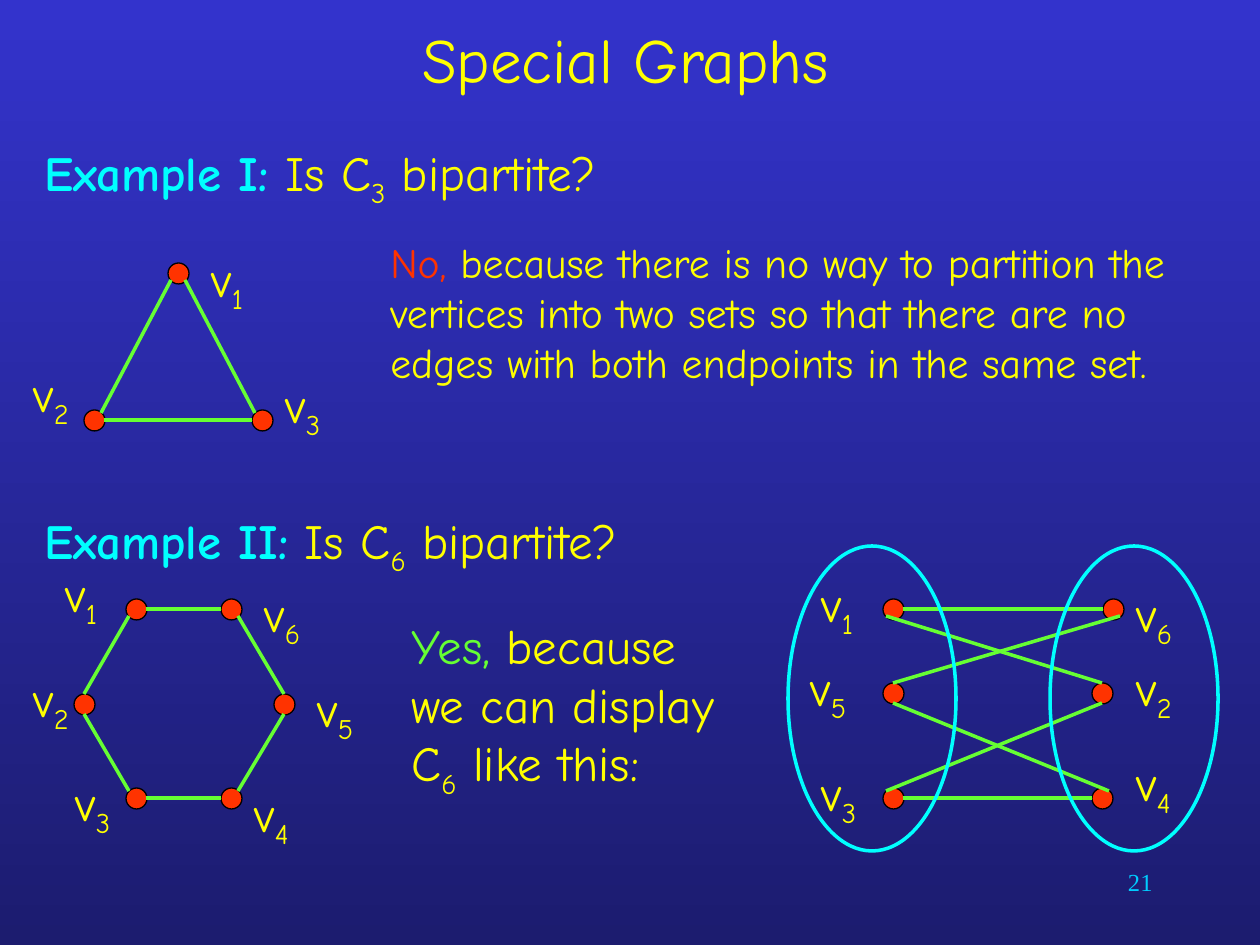
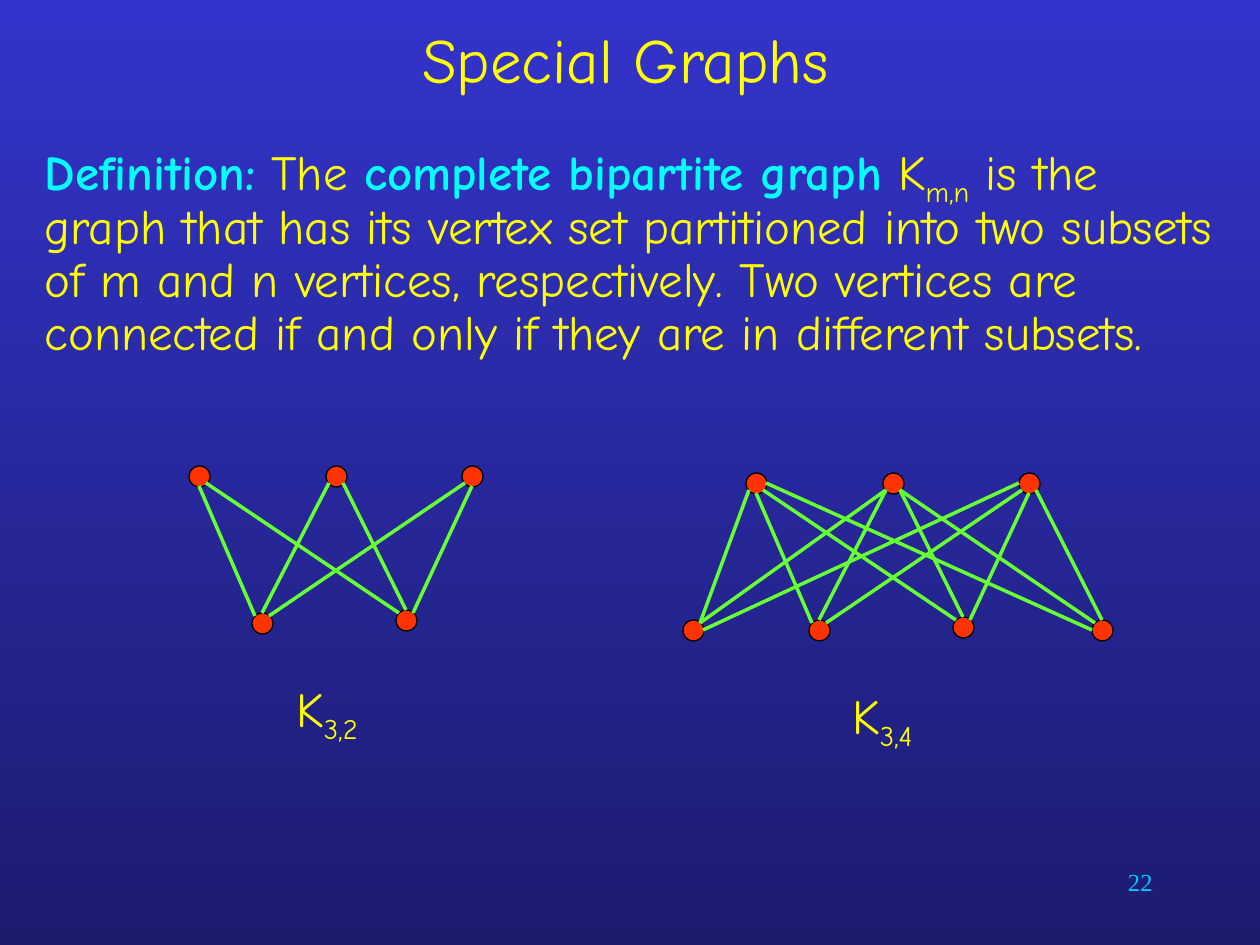
from lxml import etree
from pptx import Presentation
from pptx.dml.color import RGBColor
from pptx.enum.shapes import MSO_CONNECTOR, MSO_SHAPE
from pptx.enum.text import MSO_ANCHOR, MSO_AUTO_SIZE, PP_ALIGN
from pptx.oxml.ns import qn
from pptx.util import Pt

PX = 914400 / 126
HEX = {"top": "3333CC", "base": "1C1C6F", "text": "FFFF00", "term": "00FFFF",
       "page": "00CCFF", "dot": "FF3300", "edge": "66FF33", "rim": "000000"}
RGB = {name: RGBColor.from_string(code) for name, code in HEX.items()}
FONT = "Comic Neue"
STRAIGHT = MSO_CONNECTOR.STRAIGHT
DOT, OVAL = MSO_SHAPE.FLOWCHART_CONNECTOR, MSO_SHAPE.OVAL
CENTER, RIGHT = PP_ALIGN.CENTER, PP_ALIGN.RIGHT
RAD = 10
# Offsets from a vertex centre to the points where edges meet its rim
SIDES = {"n": (0, -10), "ne": (7, -7), "e": (10, 0), "se": (7, 7),
         "s": (0, 10), "sw": (-7, 7), "w": (-10, 0), "nw": (-7, -7)}


def write(shape, box, runs, size=28, font=FONT):
    """Place a shape and fill it with (text, colour, style) runs; return the paragraph."""
    shape.left, shape.top, shape.width, shape.height = (round(v * PX) for v in box)
    frame = shape.text_frame
    frame.word_wrap = True
    frame.auto_size = MSO_AUTO_SIZE.NONE
    para = frame.paragraphs[0]
    props = para._p.get_or_add_pPr()
    props.set("marL", "0")
    props.set("indent", "0")
    para.space_before = Pt(0)
    etree.SubElement(props, qn("a:buNone"))
    para.font.size = Pt(size)
    para.font.name = font
    for text, color, style in runs:
        run = para.add_run()
        run.text = text
        run.font.color.rgb = RGB[color]
        if style == "bold":
            run.font.bold = True
        elif style == "sub":
            run._r.get_or_add_rPr().set("baseline", "-25000")
    return para


def draw(slide, dots, edges, labels=(), dx=0, dy=0):
    """Draw a graph; an edge such as "1sw 2ne" names two vertices and their sides."""
    for x, y in dots.values():
        box = (x + dx - RAD, y + dy - RAD, 2 * RAD + 1, 2 * RAD + 1)
        dot = slide.shapes.add_shape(DOT, *(round(v * PX) for v in box))
        dot.shadow.inherit = False
        dot.fill.solid()
        dot.fill.fore_color.rgb = RGB["dot"]
        dot.line.color.rgb = RGB["rim"]
        dot.line.width = Pt(0.75)
    for edge in edges:
        ends = []
        for end in edge.split():
            (x, y), (sx, sy) = dots[end[0]], SIDES[end[1:]]
            ends += [round((x + dx + sx) * PX), round((y + dy + sy) * PX)]
        line = slide.shapes.add_connector(STRAIGHT, *ends)
        line.line.color.rgb = RGB["edge"]
        line.line.width = Pt(2)
        etree.SubElement(line._element.spPr, qn("a:effectLst"))
    for name, x, y in labels:
        write(slide.shapes.add_textbox(0, 0, 0, 0), (x, y, 95, 79),
              [("v", "text", ""), (name, "text", "sub")])


prs = Presentation()
prs.slide_width, prs.slide_height = round(1260 * PX), round(945 * PX)
back = prs.slide_master.background.fill
back.gradient()
back.gradient_angle = 270
for stop, name in zip(back.gradient_stops, ("top", "base")):
    stop.color.rgb = RGB[name]

pages = [
    ("21", (32, 136, 683, 84), [
        ("Example I:", "term", "bold"), (" Is C", "text", ""),
        ("3", "text", "sub"), (" bipartite?", "text", "")]),
    ("22", (32, 136, 1207, 294), [
        ("Definition:", "term", "bold"), (" The ", "text", ""),
        ("complete bipartite graph", "term", "bold"), (" K", "text", ""),
        ("m,n", "text", "sub"),
        (" is the graph that has its vertex set partitioned into two subsets "
         "of m and n vertices, respectively. Two vertices are connected if "
         "and only if they are in different subsets.", "text", "")]),
]
slides, bodies = [], []
for page, box, runs in pages:
    slide = prs.slides.add_slide(prs.slide_layouts[1])
    title, body = slide.placeholders
    para = write(title, (32, 0, 1187, 116), [("Special Graphs", "text", "")], 36)
    para.alignment = CENTER
    title.text_frame.vertical_anchor = MSO_ANCHOR.MIDDLE
    bodies.append(write(body, box, runs))
    foot = slide.shapes.add_textbox(0, 0, 0, 0)
    para = write(foot, (903, 861, 262, 63), [(page, "page", "")], 14, "Times New Roman")
    para.alignment = RIGHT
    slides.append(slide)
cycles, complete = slides
bodies[1].line_spacing = 0.9

# Cycles C3 and C6
notes = [
    ((378, 231, 851, 179), 23.8, [
        ("No,", "dot", ""),
        (" because there is no way to partition the vertices into two sets so "
         "that there are no edges with both endpoints in the same set.", "text", "")]),
    ((32, 504, 725, 84), 28, [
        ("Example II:", "term", "bold"), (" Is C", "text", ""),
        ("6", "text", "sub"), (" bipartite?", "text", "")]),
    ((399, 609, 357, 199), 28, [
        ("Yes, ", "edge", ""), ("because we can display C", "text", ""),
        ("6", "text", "sub"), (" like this:", "text", "")]),
]
for box, size, runs in notes:
    write(cycles.shapes.add_textbox(0, 0, 0, 0), box, runs, size)

draw(cycles, {"1": (178, 273), "2": (94, 420), "3": (262, 420)},
     ["2ne 1sw", "2e 3w", "3nw 1se"],
     [("1", 199, 242), ("2", 21, 357), ("3", 273, 368)])

ring = ["2s 3nw", "3e 4w", "4ne 5s", "5n 6se", "2n 1sw", "1e 6w"]
draw(cycles, {"1": (136, 609), "2": (84, 704), "3": (136, 798),
              "4": (231, 798), "5": (284, 704), "6": (231, 609)}, ring,
     [("1", 53, 557), ("2", 21, 662), ("3", 63, 766),
      ("4", 242, 777), ("5", 305, 672), ("6", 252, 577)])
draw(cycles, {"1": (893, 609), "2": (1102, 693), "3": (893, 798),
              "4": (1102, 798), "5": (893, 693), "6": (1113, 609)}, ring,
     [("1", 809, 567), ("2", 1124, 651), ("3", 809, 756),
      ("4", 1124, 746), ("5", 798, 651), ("6", 1124, 577)])
for left in (788, 1050):
    oval = cycles.shapes.add_shape(OVAL, *(round(v * PX) for v in (left, 546, 168, 305)))
    oval.shadow.inherit = False
    oval.fill.background()
    oval.line.color.rgb = RGB["term"]
    oval.line.width = Pt(2)

# Complete bipartite graphs: K3,4 is K3,2 moved, with two more vertices
dots = {"a": (199, 476), "b": (336, 476), "c": (472, 476),
        "d": (262, 623), "e": (406, 620)}
edges = ["as dnw", "bsw dn", "cs ene", "csw dne", "ase enw", "bse en"]
draw(complete, dots, edges)
draw(complete, dots | {"f": (136, 623), "g": (545, 623)},
     edges + ["fne asw", "fne bsw", "fe cw", "ae gw", "bse gnw", "gn cse"],
     dx=557, dy=7)
for sub, x, y in (("3,2", 284, 672), ("3,4", 840, 679)):
    write(complete.shapes.add_textbox(0, 0, 0, 0), (x, y, 118, 79),
          [("K", "text", ""), (sub, "text", "sub")])

prs.save("out.pptx")
